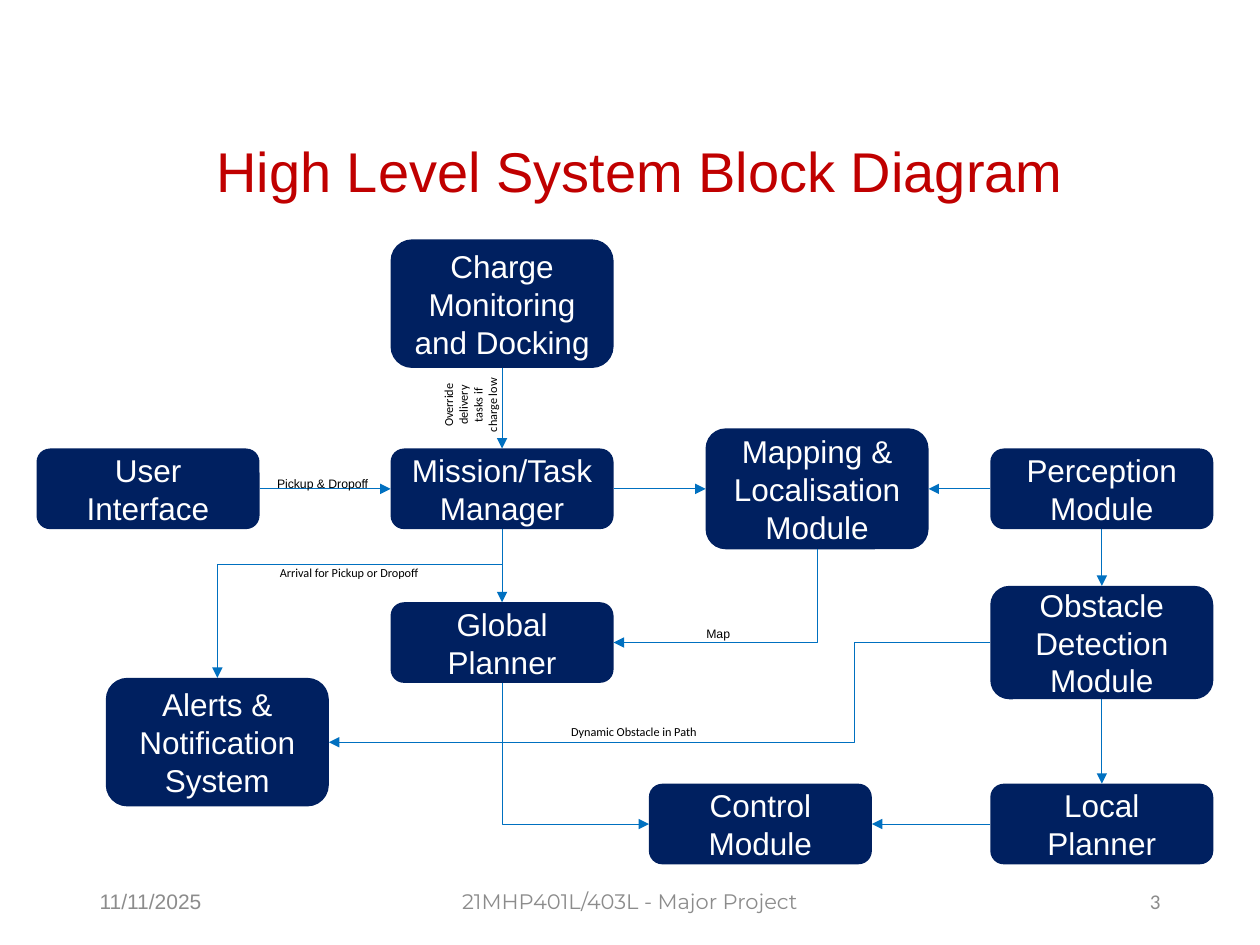
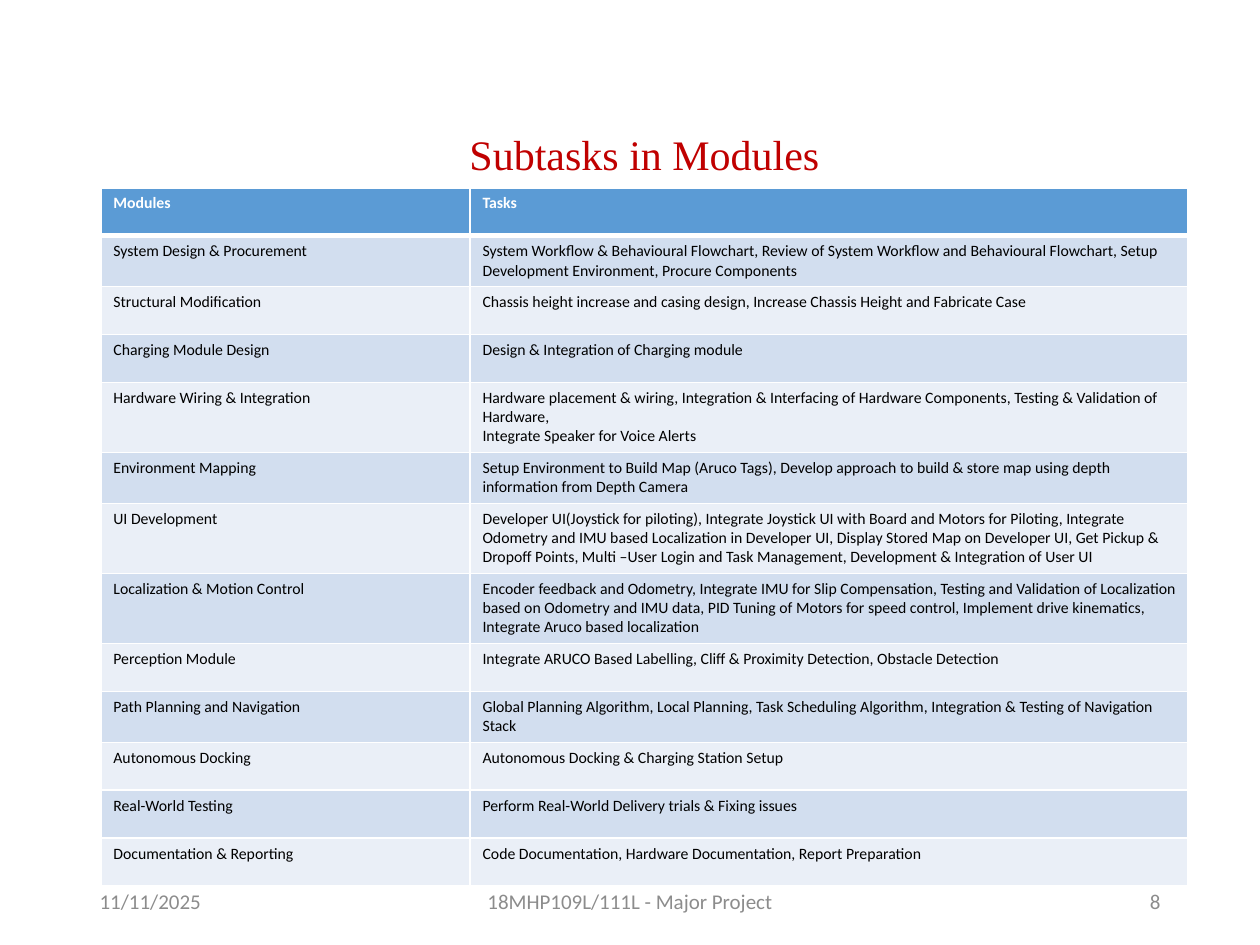
from copy import deepcopy

from lxml.etree import SubElement
from pptx import Presentation
from pptx.dml.color import RGBColor
from pptx.enum.shapes import MSO_CONNECTOR as CONN, MSO_SHAPE as SHAPE, PP_PLACEHOLDER as PH
from pptx.enum.text import MSO_ANCHOR as ANCHOR, MSO_AUTO_SIZE as AUTO, PP_ALIGN as ALIGN
from pptx.oxml.ns import qn
from pptx.util import Inches, Pt

RED, NAVY, BLUE, GREY = "C00000", "002060", "0070C0", "8C8C8C"
WHITE, BLACK = "FFFFFF", "000000"
HEADER, BANDS = "5B9BD5", ("D2DEEF", "EAEFF7")

# Diagram grid: left edges of columns and centre lines of rows, in inches
COLS = dict(far_left=0.29, alert=0.84, mission=3.1, control=5.15, map=5.6, right=7.86)
ROWS = dict(charge=2.41, main=3.88, planner=5.1, alert=5.89, bottom=6.54)
BLOCK_W = 1.77
TOP, LEFT, BOTTOM, RIGHT = range(4)  # connection sites of a block

BLOCKS = {  # name: (column, row, height)
    "Charge Monitoring and Docking": ("mission", "charge", 1.02),
    "User Interface": ("far_left", "main", 0.64),
    "Mission/Task Manager": ("mission", "main", 0.64),
    "Mapping & Localisation Module": ("map", "main", 0.96),
    "Perception Module": ("right", "main", 0.64),
    "Global Planner": ("mission", "planner", 0.64),
    "Obstacle Detection Module": ("right", "planner", 0.9),
    "Alerts & Notification System": ("alert", "alert", 1.02),
    "Control Module": ("control", "bottom", 0.64),
    "Local Planner": ("right", "bottom", 0.64),
}
STRAIGHT = [
    ("Charge Monitoring and Docking", BOTTOM, "Mission/Task Manager", TOP),
    ("User Interface", RIGHT, "Mission/Task Manager", LEFT),
    ("Mission/Task Manager", RIGHT, "Mapping & Localisation Module", LEFT),
    ("Mission/Task Manager", BOTTOM, "Global Planner", TOP),
    ("Perception Module", LEFT, "Mapping & Localisation Module", RIGHT),
    ("Perception Module", BOTTOM, "Obstacle Detection Module", TOP),
    ("Obstacle Detection Module", BOTTOM, "Local Planner", TOP),
    ("Local Planner", LEFT, "Control Module", RIGHT),
]
BENT = [  # the last value is the share of the way at which a double bend turns
    ("Mapping & Localisation Module", BOTTOM, "Global Planner", RIGHT, None),
    ("Global Planner", BOTTOM, "Control Module", LEFT, None),
    ("Mission/Task Manager", BOTTOM, "Alerts & Notification System", TOP, 0.235),
    ("Obstacle Detection Module", LEFT, "Alerts & Notification System", RIGHT, 0.206),
]
LABELS = [  # text, box, font, rotation
    ("Override delivery tasks if charge low", (3.38, 2.93, 0.71, 0.57), "Calibri", 270),
    ("Pickup & Dropoff", (2.07, 3.73, 0.98, 0.22), "Arial", 0),
    ("Map", (5.21, 4.92, 0.98, 0.22), "Arial", 0),
    ("Dynamic Obstacle in Path", (4.29, 5.7, 1.48, 0.22), "Calibri", 0),
    ("Arrival for Pickup or Dropoff", (2.03, 4.44, 1.48, 0.22), "Calibri", 0),
]
TASKS = [
    ("Modules", "Tasks"),
    ("System Design & Procurement",
     "System Workflow & Behavioural Flowchart, Review of System Workflow and Behavioural "
     "Flowchart, Setup Development Environment, Procure Components"),
    ("Structural Modification",
     "Chassis height increase and casing design, Increase Chassis Height and Fabricate Case"),
    ("Charging Module Design", "Design & Integration of Charging module"),
    ("Hardware Wiring & Integration",
     "Hardware placement & wiring, Integration & Interfacing of Hardware Components, "
     "Testing & Validation of Hardware,\nIntegrate Speaker for Voice Alerts"),
    ("Environment Mapping",
     "Setup Environment to Build Map (Aruco Tags), Develop approach to build & store map "
     "using depth information from Depth Camera"),
    ("UI Development",
     "Developer UI(Joystick for piloting), Integrate Joystick UI with Board and Motors for "
     "Piloting, Integrate Odometry and IMU based Localization in Developer UI, Display Stored "
     "Map on Developer UI, Get Pickup & Dropoff Points, Multi –User Login and Task "
     "Management, Development & Integration of User UI"),
    ("Localization & Motion Control",
     "Encoder feedback and Odometry, Integrate IMU for Slip Compensation, Testing and "
     "Validation of Localization based on Odometry and IMU data, PID Tuning of Motors for "
     "speed control, Implement drive kinematics, Integrate Aruco based localization"),
    ("Perception Module",
     "Integrate ARUCO Based Labelling, Cliff & Proximity Detection, Obstacle Detection"),
    ("Path Planning and Navigation",
     "Global Planning Algorithm, Local Planning, Task Scheduling Algorithm, "
     "Integration & Testing of Navigation Stack"),
    ("Autonomous Docking", "Autonomous Docking & Charging Station Setup"),
    ("Real-World Testing", "Perform Real-World Delivery trials & Fixing issues"),
    ("Documentation & Reporting",
     "Code Documentation, Hardware Documentation, Report Preparation"),
]


def rgb(color):
    return RGBColor.from_string(color)


def box(*lengths):
    return [Inches(v) for v in lengths]


def place(sp, *lengths):
    for name, v in zip(("left", "top", "width", "height"), box(*lengths)):
        setattr(sp, name, v)


def write(tf, text, font, size, color, align=ALIGN.LEFT, anchor=ANCHOR.TOP, bold=False):
    tf.text = text
    tf.word_wrap = True
    tf.vertical_anchor = anchor
    style = dict(name=font, size=Pt(size), bold=bold)
    for p in tf.paragraphs:
        p.alignment = align
        for r in p.runs:
            for key, value in style.items():
                setattr(r.font, key, value)
            r.font.color.rgb = rgb(color)


def add_slide(prs, title, title_box, font, size):
    s = prs.slides.add_slide(prs.slide_layouts[5])
    place(s.shapes.title, *title_box)
    tf = s.shapes.title.text_frame
    write(tf, title, font, size, RED, ALIGN.CENTER)
    tf.auto_size = AUTO.NONE
    return s


def add_footer(s, kind, text, left, width, font, align):
    """Bring one of the layout's footer placeholders onto the slide."""
    source = next(ph for ph in s.slide_layout.placeholders
                  if ph.placeholder_format.type == kind)
    element = deepcopy(source._element)
    element.nvSpPr.cNvPr.set("id", str(max(sp.shape_id for sp in s.shapes) + 1))
    s.shapes._spTree.append(element)
    sp = s.shapes[-1]
    place(sp, left, 6.95, width, 0.4)
    write(sp.text_frame, text, font, 12, GREY, align, ANCHOR.MIDDLE)


def add_footers(s, course, number, fonts):
    footers = [(PH.DATE, "11/11/2025", 0.69, 2.25, ALIGN.LEFT),
               (PH.FOOTER, course + " - Major Project", 3.31, 3.38, ALIGN.CENTER),
               (PH.SLIDE_NUMBER, number, 7.06, 2.25, ALIGN.RIGHT)]
    for (kind, text, left, width, align), font in zip(footers, fonts):
        add_footer(s, kind, text, left, width, font, align)


def add_block(s, text, col, row, height):
    sp = s.shapes.add_shape(SHAPE.ROUNDED_RECTANGLE,
                            *box(COLS[col], ROWS[row] - height / 2, BLOCK_W, height))
    sp.shadow.inherit = False
    sp.fill.solid()
    sp.fill.fore_color.rgb = rgb(NAVY)
    sp.line.fill.background()
    write(sp.text_frame, text, "Arial", 18, WHITE, ALIGN.CENTER, ANCHOR.MIDDLE)
    return sp


def add_label(s, text, area, font, rotation):
    sp = s.shapes.add_textbox(*box(*area))
    sp.rotation = rotation
    write(sp.text_frame, text, font, 7, BLACK, ALIGN.CENTER)


def add_arrow(s, kind, start, start_site, end, end_site):
    c = s.shapes.add_connector(kind, 0, 0, 0, 0)
    c.begin_connect(start, start_site)
    c.end_connect(end, end_site)
    c.line.color.rgb = rgb(BLUE)
    c.line.width = Pt(0.5)
    SubElement(c.line._get_or_add_ln(), qn("a:tailEnd"), type="triangle")
    SubElement(c._element.spPr, qn("a:effectLst"))
    return c


def add_bent_arrow(s, start, start_site, end, end_site, turn):
    c = add_arrow(s, CONN.ELBOW, start, start_site, end, end_site)
    x, y = min(c.begin_x, c.end_x), min(c.begin_y, c.end_y)
    w, h = abs(c.end_x - c.begin_x), abs(c.end_y - c.begin_y)
    if start_site == BOTTOM:  # leaves downwards: turn the frame about its centre
        angle, flip = (90, None) if c.end_x < c.begin_x else (270, "flipH")
        x, y, w, h = x + (w - h) // 2, y + (h - w) // 2, h, w
    else:
        angle, flip = 180, "flipV"
    c.left, c.top, c.width, c.height = x, y, w, h
    xfrm = c._element.spPr.find(qn("a:xfrm"))
    xfrm.attrib.clear()
    xfrm.set("rot", str(angle * 60000))
    if flip:
        xfrm.set(flip, "1")
    geom = c._element.spPr.find(qn("a:prstGeom"))
    if turn is None:
        geom.set("prst", "bentConnector2")
    else:
        SubElement(geom.find(qn("a:avLst")), qn("a:gd"),
                   name="adj1", fmla=f"val {round(turn * 100000)}")


def set_borders(cell, widths):
    """Draw white borders, with widths in points for left, right, top and bottom."""
    tc_pr = cell._tc.get_or_add_tcPr()
    for i, (side, width) in enumerate(zip("LRTB", widths)):
        ln = SubElement(tc_pr, qn("a:ln" + side), w=str(Pt(width)))
        SubElement(SubElement(ln, qn("a:solidFill")), qn("a:srgbClr"), val=WHITE)
        tc_pr.insert(i, ln)


def add_task_table(s):
    row_height = 0.38
    table = s.shapes.add_table(len(TASKS), 2,
                               *box(0.8, 1.49, 8.63, row_height * len(TASKS))).table
    for col, width in zip(table.columns, (2.93, 5.7)):
        col.width = Inches(width)
    for i, texts in enumerate(TASKS):
        head = i == 0
        table.rows[i].height = Inches(row_height)
        for cell, text in zip(table.rows[i].cells, texts):
            write(cell.text_frame, text, "Calibri", 9, WHITE if head else BLACK, bold=head)
            cell.fill.solid()
            cell.fill.fore_color.rgb = rgb(HEADER if head else BANDS[(i - 1) % 2])
            set_borders(cell, (1, 1, 3 if i == 1 else 1, 3 if head else 1))


def add_block_diagram(s):
    blocks = {name: add_block(s, name, *cell) for name, cell in BLOCKS.items()}
    for start, start_site, end, end_site in STRAIGHT:
        add_arrow(s, CONN.STRAIGHT, blocks[start], start_site, blocks[end], end_site)
    for start, start_site, end, end_site, turn in BENT:
        add_bent_arrow(s, blocks[start], start_site, blocks[end], end_site, turn)
    for label in LABELS:
        add_label(s, *label)


def main():
    prs = Presentation()
    prs.slide_width, prs.slide_height = box(10, 7.5)
    s = add_slide(prs, "High Level System Block Diagram", (0.39, 1.03, 9.38, 0.64), "Arial", 32)
    add_block_diagram(s)
    add_footers(s, "21MHP401L/403L", "3", ("Arial", "Montserrat", "Calibri"))
    s = add_slide(prs, "Subtasks in Modules", (0.69, 0.97, 8.85, 0.5), "Times New Roman", 24)
    add_task_table(s)
    add_footers(s, "18MHP109L/111L", "8", ("Calibri",) * 3)
    prs.save("out.pptx")


if __name__ == "__main__":
    main()
